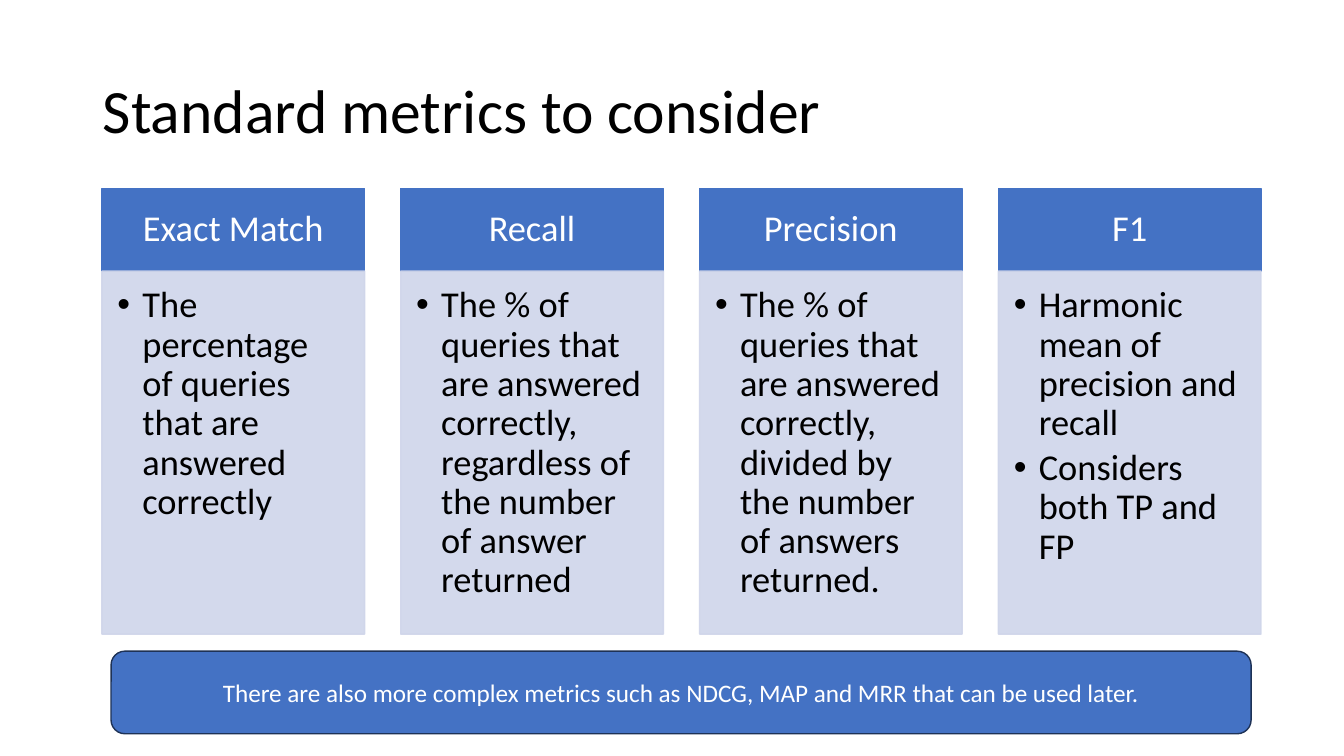
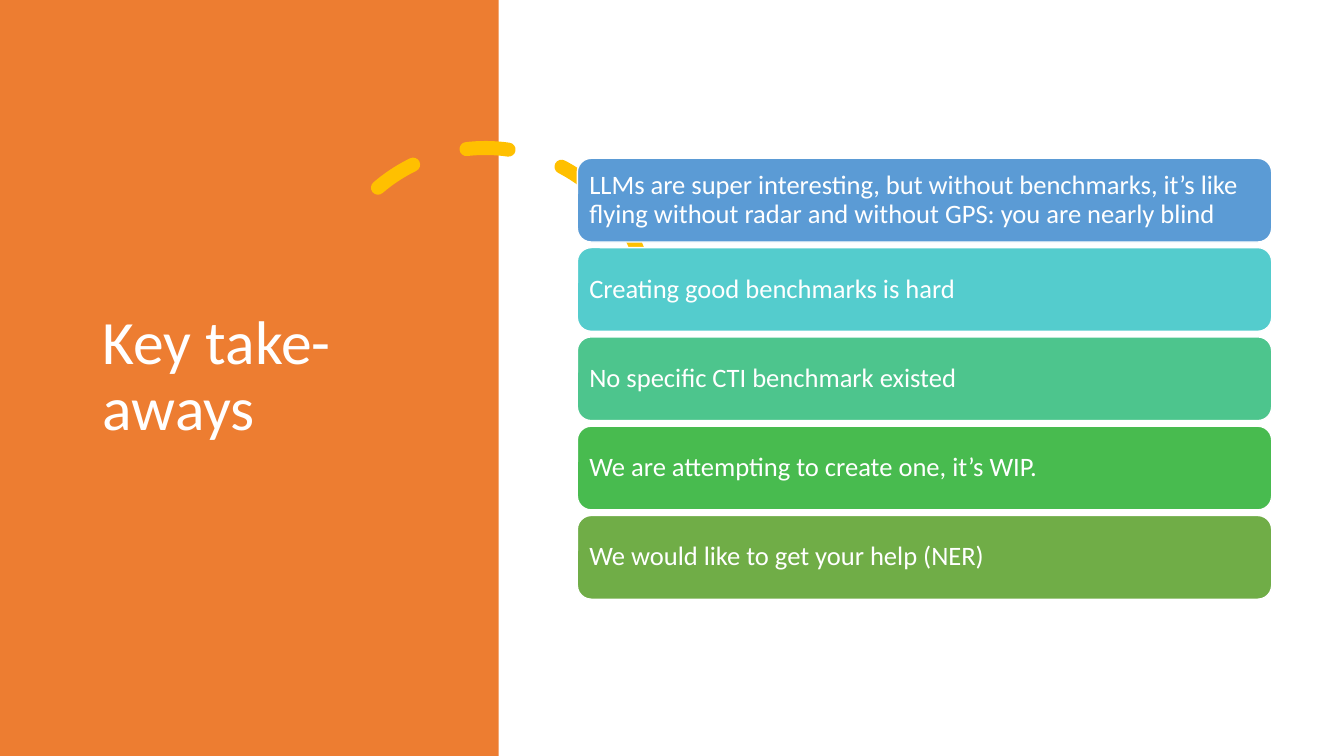
from dataclasses import dataclass
from lxml.etree import SubElement
from pptx import Presentation
from pptx.dml.color import RGBColor
from pptx.enum.dml import MSO_LINE
from pptx.enum.shapes import MSO_SHAPE
from pptx.enum.text import MSO_ANCHOR, PP_ALIGN
from pptx.oxml.ns import qn
from pptx.util import Cm, Pt


@dataclass(frozen=True)
class Theme:
    font: str = "Calibri"
    black: str = "000000"
    white: str = "FFFFFF"
    blue: str = "4472C4"
    navy: str = "1E3256"
    pale: str = "CFD5EA"
    orange: str = "ED7D31"
    gold: str = "FFC000"
    steps: tuple = ("5B9BD5", "54CCCD", "4DC58D", "48BB4F", "70AD47")
    title: int = 44
    card: int = 26
    step: int = 19
    note: int = 18


theme = Theme()


def draw(slide, kind, box, fill=None, line=None, width=1):
    shape = slide.shapes.add_shape(kind, *map(Cm, box))
    shape.shadow.inherit = False
    if fill:
        shape.fill.solid()
        shape.fill.fore_color.rgb = RGBColor.from_string(fill)
    else:
        shape.fill.background()
    if line:
        shape.line.color.rgb = RGBColor.from_string(line)
        shape.line.width = Pt(width)
    else:
        shape.line.fill.background()
    return shape


def write(shape, lines, size, color, inset=(0.25, 0.13, 0.25, 0.13),
          align=PP_ALIGN.LEFT, anchor=MSO_ANCHOR.MIDDLE, space=0.9, bullet=False):
    frame = shape.text_frame
    frame.word_wrap = True
    frame.vertical_anchor = anchor
    frame.margin_left, frame.margin_top, frame.margin_right, frame.margin_bottom = map(Cm, inset)
    frame.text = "\n".join(lines)
    for para in frame.paragraphs:
        para.alignment = align
        para.line_spacing = space
        if bullet:
            para.space_after = Pt(4)
            props = para._p.get_or_add_pPr()
            props.set("marL", str(Cm(0.63)))
            props.set("indent", str(Cm(-0.63)))
            SubElement(props, qn("a:buFont"), typeface="Arial")
            SubElement(props, qn("a:buChar"), char="•")
        para.font.name = theme.font
        para.font.size = Pt(size)
        para.font.color.rgb = RGBColor.from_string(color)


deck = Presentation()
deck.slide_width, deck.slide_height = Cm(33.87), Cm(19.05)
blank = deck.slide_layouts[6]

slide = deck.slides.add_slide(blank)
title = slide.shapes.add_textbox(Cm(2.34), Cm(1.02), Cm(29.21), Cm(3.68))
write(title, ["Standard metrics to consider"], theme.title, theme.black)

cards = [
    ("Exact Match", ["The percentage of queries that are answered correctly"]),
    ("Recall", ["The % of queries that are answered correctly, "
                "regardless of the number of answer returned"]),
    ("Precision", ["The % of queries that are answered correctly, "
                   "divided by the number of answers returned."]),
    ("F1", ["Harmonic mean of precision and recall", "Considers both TP and FP"]),
]
for i, (name, points) in enumerate(cards):
    left = 2.57 + i * 7.53
    head = draw(slide, MSO_SHAPE.RECTANGLE, (left, 4.75, 6.62, 2.08), theme.blue, theme.blue)
    write(head, [name], theme.card, theme.white, (0.5, 0.3, 0.5, 0.3), PP_ALIGN.CENTER)
    body = draw(slide, MSO_SHAPE.RECTANGLE, (left, 6.83, 6.62, 9.15), theme.pale, theme.pale)
    for tint in body._element.spPr.iter(qn("a:srgbClr")):
        SubElement(tint, qn("a:alpha"), val="90000")
    write(body, points, theme.card, theme.black, (0.39, 0.39, 0.5, 0.58),
          anchor=MSO_ANCHOR.TOP, bullet=True)

note = draw(slide, MSO_SHAPE.ROUNDED_RECTANGLE, (2.8, 16.41, 28.73, 2.08), theme.blue, theme.navy)
write(note, ["There are also more complex metrics such as NDCG, MAP and MRR that can be used later."],
      theme.note, theme.white, align=PP_ALIGN.CENTER, space=1.0)

slide = deck.slides.add_slide(blank)
draw(slide, MSO_SHAPE.RECTANGLE, (0, 0, 12.57, 19.05), theme.orange)
arc = draw(slide, MSO_SHAPE.ARC, (8.08, 3.73, 8.3, 8.3), line=theme.gold, width=10)
arc.adjustments[0] = 146.13
arc.adjustments[1] = 0
arc.rotation = 345.8
arc.line.dash_style = MSO_LINE.DASH
arc._element.spPr.find(qn("a:ln")).set("cap", "rnd")
title = slide.shapes.add_textbox(Cm(2.34), Cm(1.78), Cm(8.2), Cm(15.47))
write(title, ["Key take-aways"], theme.title, theme.white)

steps = [
    "LLMs are super interesting, but without benchmarks, it’s like flying without radar "
    "and without GPS: you are nearly blind",
    "Creating good benchmarks is hard",
    "No specific CTI benchmark existed",
    "We are attempting to create one, it’s WIP.",
    "We would like to get your help (NER)",
]
for i, (text, fill) in enumerate(zip(steps, theme.steps)):
    bar = draw(slide, MSO_SHAPE.ROUNDED_RECTANGLE, (14.55, 3.99 + i * 2.25, 17.5, 2.11),
               fill, theme.white)
    write(bar, [text], theme.step, theme.white, (0.2, 0.2, 0.2, 0.2))

deck.save("out.pptx")
